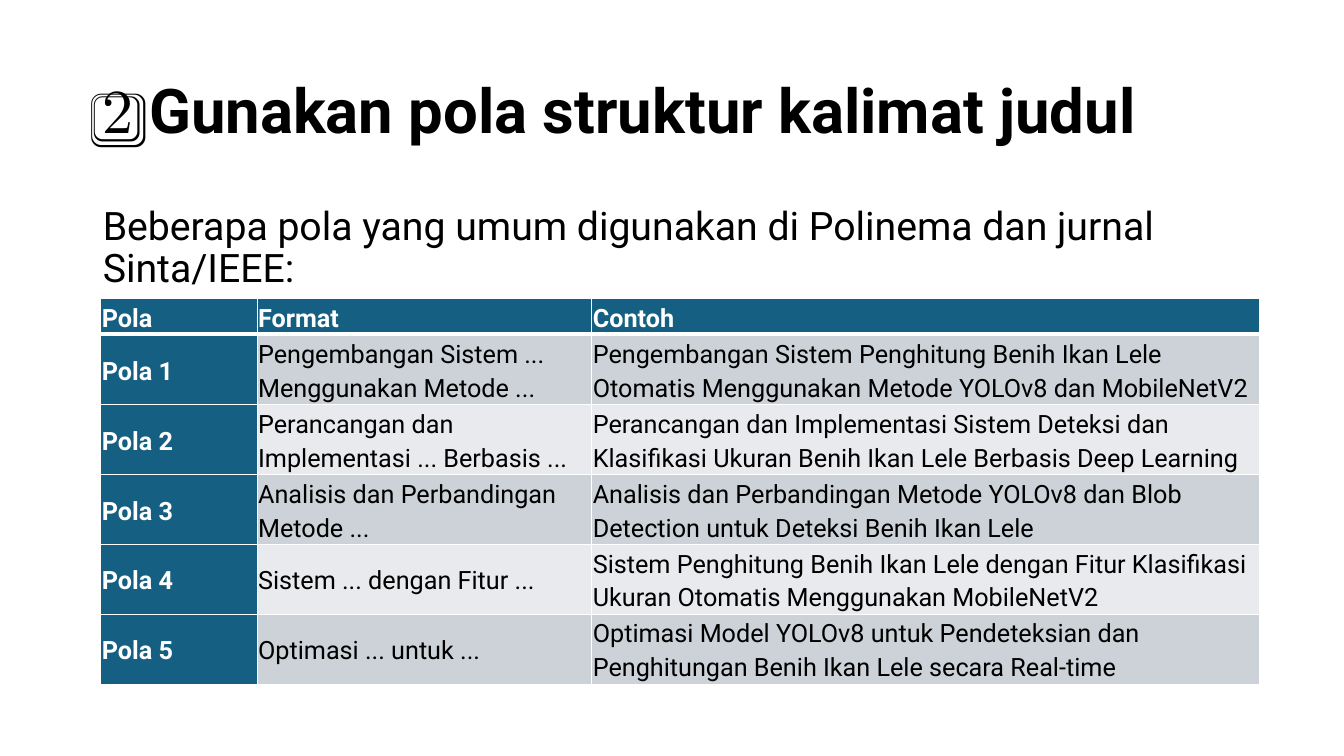
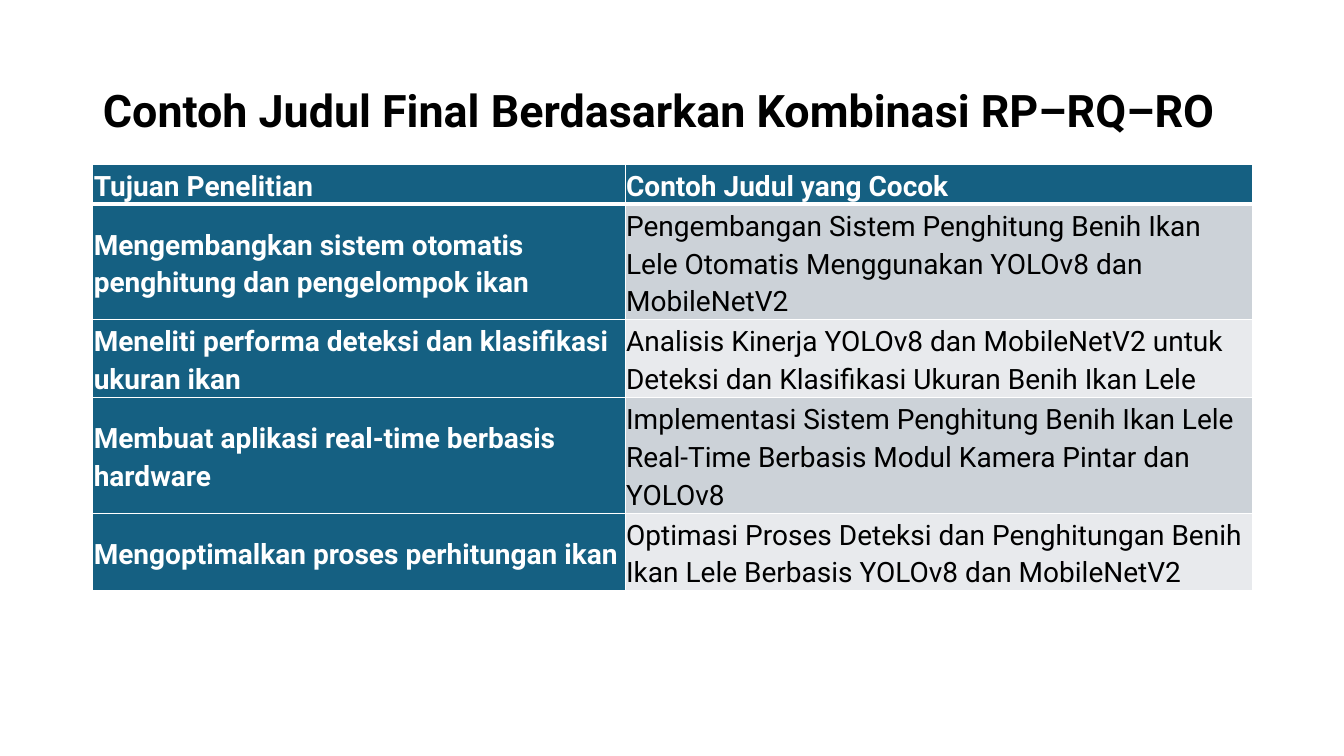
"""Builds two slides on patterns for research titles, each with a styled table."""
import lxml.etree
import pptx
import pptx.dml.color
import pptx.enum.text
import pptx.oxml.ns
import pptx.util

Inches, Pt = pptx.util.Inches, pptx.util.Pt
RGB = pptx.dml.color.RGBColor
qn = pptx.oxml.ns.qn

BLACK = RGB(0x00, 0x00, 0x00)
WHITE = RGB(0xFF, 0xFF, 0xFF)
TEAL = RGB(0x15, 0x60, 0x82)
BANDS = (RGB(0xCC, 0xD2, 0xD8), RGB(0xE8, 0xEA, 0xED))
FONT = "Roboto"
SLIDE_W, SLIDE_H = 13.33, 7.5
LEFT, CONTENT_W = 0.92, 11.5
TITLE_BOX = (LEFT, 0.4, CONTENT_W, 1.45)
INTRO_BOX = (LEFT, 2, CONTENT_W, 0.96)
CELL_INSET = Inches(0.01)

PATTERNS = [
    ("Pola", "Format", "Contoh"),
    ("Pola 1", "Pengembangan Sistem ... Menggunakan Metode ...",
     "Pengembangan Sistem Penghitung Benih Ikan Lele Otomatis Menggunakan Metode YOLOv8 dan MobileNetV2"),
    ("Pola 2", "Perancangan dan Implementasi ... Berbasis ...",
     "Perancangan dan Implementasi Sistem Deteksi dan Klasifikasi Ukuran Benih Ikan Lele Berbasis Deep Learning"),
    ("Pola 3", "Analisis dan Perbandingan Metode ...",
     "Analisis dan Perbandingan Metode YOLOv8 dan Blob Detection untuk Deteksi Benih Ikan Lele"),
    ("Pola 4", "Sistem ... dengan Fitur ...",
     "Sistem Penghitung Benih Ikan Lele dengan Fitur Klasifikasi Ukuran Otomatis Menggunakan MobileNetV2"),
    ("Pola 5", "Optimasi ... untuk ...",
     "Optimasi Model YOLOv8 untuk Pendeteksian dan Penghitungan Benih Ikan Lele secara Real-time"),
]
FINAL_TITLES = [
    ("Tujuan Penelitian", "Contoh Judul yang Cocok"),
    ("Mengembangkan sistem otomatis penghitung dan pengelompok ikan",
     "Pengembangan Sistem Penghitung Benih Ikan Lele Otomatis Menggunakan YOLOv8 dan MobileNetV2"),
    ("Meneliti performa deteksi dan klasifikasi ukuran ikan",
     "Analisis Kinerja YOLOv8 dan MobileNetV2 untuk Deteksi dan Klasifikasi Ukuran Benih Ikan Lele"),
    ("Membuat aplikasi real-time berbasis hardware",
     "Implementasi Sistem Penghitung Benih Ikan Lele Real-Time Berbasis Modul Kamera Pintar dan YOLOv8"),
    ("Mengoptimalkan proses perhitungan ikan",
     "Optimasi Proses Deteksi dan Penghitungan Benih Ikan Lele Berbasis YOLOv8 dan MobileNetV2"),
]


def write(paragraph, text, size, color, bold, spacing, after=0):
    """Add one formatted run and set the paragraph's spacing."""
    paragraph.alignment = pptx.enum.text.PP_ALIGN.LEFT
    paragraph.line_spacing = spacing
    paragraph.space_before = Pt(0)
    paragraph.space_after = Pt(after)
    run = paragraph.add_run()
    run.text = text
    run.font.name = FONT
    run.font.size = Pt(size)
    run.font.bold = bold
    run.font.color.rgb = color


def fill_placeholder(placeholder, box, text, size, bold, anchor):
    """Move a placeholder to its box and write its text."""
    placeholder.left, placeholder.top, placeholder.width, placeholder.height = map(Inches, box)
    frame = placeholder.text_frame
    frame.word_wrap = True
    frame.auto_size = pptx.enum.text.MSO_AUTO_SIZE.NONE
    frame.vertical_anchor = anchor
    write(frame.paragraphs[0], text, size, BLACK, bold, 0.9)


def add_titled_slide(deck, layout_index, title, size):
    """Add a slide with the shared title style."""
    slide = deck.slides.add_slide(deck.slide_layouts[layout_index])
    fill_placeholder(slide.shapes.title, TITLE_BOX, title, size, True,
                     pptx.enum.text.MSO_ANCHOR.MIDDLE)
    return slide


def add_intro(slide, text):
    """Write the unbulleted introduction into the body placeholder."""
    intro = slide.placeholders[1]
    properties = intro.text_frame.paragraphs[0]._p.get_or_add_pPr()
    properties.set("marL", "0")
    properties.set("indent", "0")
    lxml.etree.SubElement(properties, qn("a:buNone"))
    fill_placeholder(intro, INTRO_BOX, text, 28, False, pptx.enum.text.MSO_ANCHOR.TOP)


def border_cell(cell, widths):
    """Draw white borders; widths maps each side to points."""
    properties = cell._tc.get_or_add_tcPr()
    for position, (side, width) in enumerate(widths.items()):
        line = lxml.etree.Element(qn(f"a:{side}"), w=str(Pt(width)))
        solid = lxml.etree.SubElement(line, qn("a:solidFill"))
        lxml.etree.SubElement(solid, qn("a:srgbClr"), val=str(WHITE))
        properties.insert(position, line)


def style_cell(cell, text, size, row, column):
    """Fill, border and write a cell according to its place in the table."""
    heading = row == 0 or column == 0
    cell.margin_left = cell.margin_right = CELL_INSET
    cell.margin_top = cell.margin_bottom = CELL_INSET
    cell.vertical_anchor = pptx.enum.text.MSO_ANCHOR.MIDDLE
    cell.fill.solid()
    cell.fill.fore_color.rgb = TEAL if heading else BANDS[(row - 1) % 2]
    border_cell(cell, {"lnL": 1, "lnR": 1, "lnT": 3 if row == 1 else 1,
                       "lnB": 3 if row == 0 else 1})
    write(cell.text_frame.paragraphs[0], text, size,
          WHITE if heading else BLACK, heading, 1.15, 8)


def add_banded_table(slide, left, top, column_widths, records, size, line_counts, line_height):
    """Place a table whose row heights follow the text lines in each row."""
    heights = [count * line_height for count in line_counts]
    table = slide.shapes.add_table(
        len(records), len(column_widths), Inches(left), Inches(top),
        Inches(sum(column_widths)), Inches(sum(heights))).table
    for column, width in zip(table.columns, column_widths):
        column.width = Inches(width)
    for row, height in zip(table.rows, heights):
        row.height = Inches(height)
    for row, record in enumerate(records):
        for column, text in enumerate(record):
            style_cell(table.cell(row, column), text, size, row, column)


def build_pattern_slide(deck):
    """Build the slide of sentence patterns."""
    slide = add_titled_slide(deck, 1, "2️⃣ Gunakan pola struktur kalimat judul", 44)
    add_intro(slide, "Beberapa pola yang umum digunakan di Polinema dan jurnal Sinta/IEEE:")
    add_banded_table(slide, 1, 2.96, (1.55, 3.32, 6.62), PATTERNS, 18,
                     (1, 2, 2, 2, 2, 2), 0.34)


def build_final_title_slide(deck):
    """Build the slide that matches research aims to titles."""
    slide = add_titled_slide(deck, 5, "Contoh Judul Final Berdasarkan Kombinasi RP–RQ–RO", 32)
    add_banded_table(slide, LEFT, 1.63, (5.28, 6.22), FINAL_TITLES, 20,
                     (1, 3, 2, 3, 2), 0.38)


def main():
    """Create and save the deck."""
    deck = pptx.Presentation()
    deck.slide_width, deck.slide_height = Inches(SLIDE_W), Inches(SLIDE_H)
    build_pattern_slide(deck)
    build_final_title_slide(deck)
    deck.save("out.pptx")


if __name__ == "__main__":
    main()
